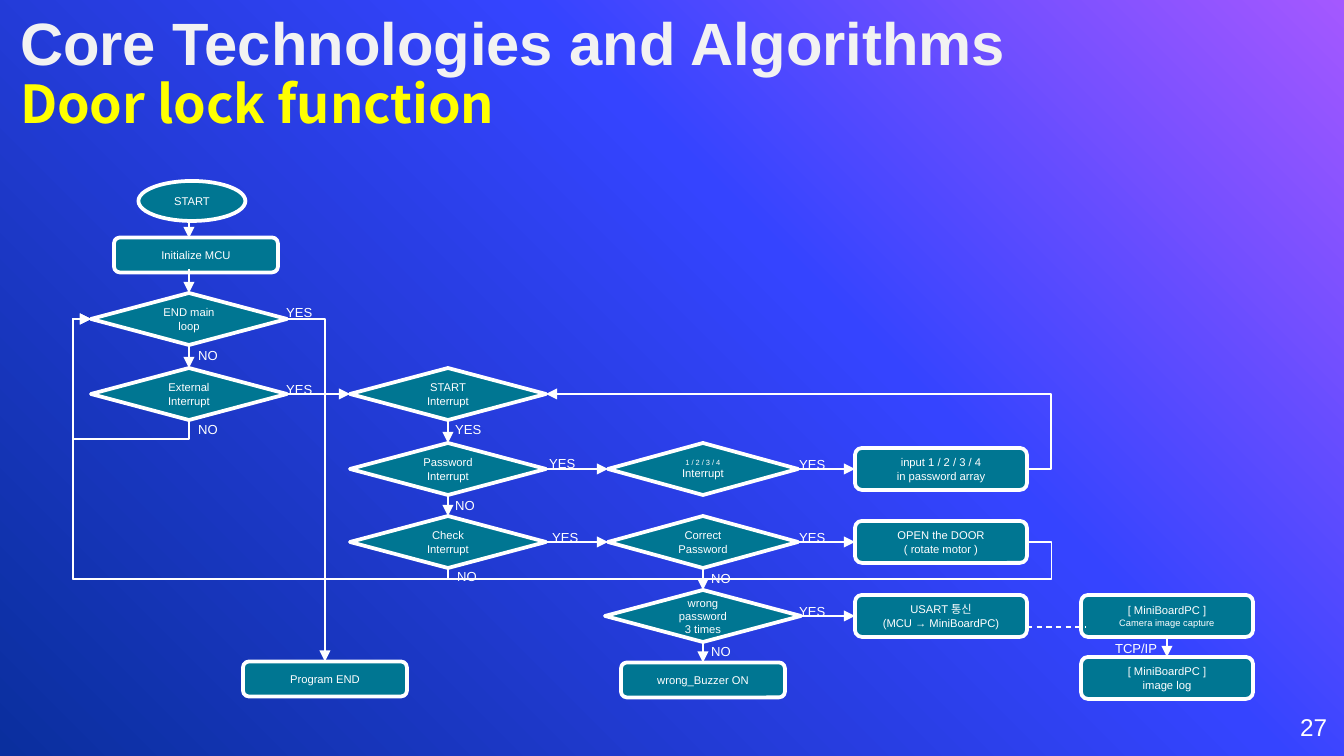
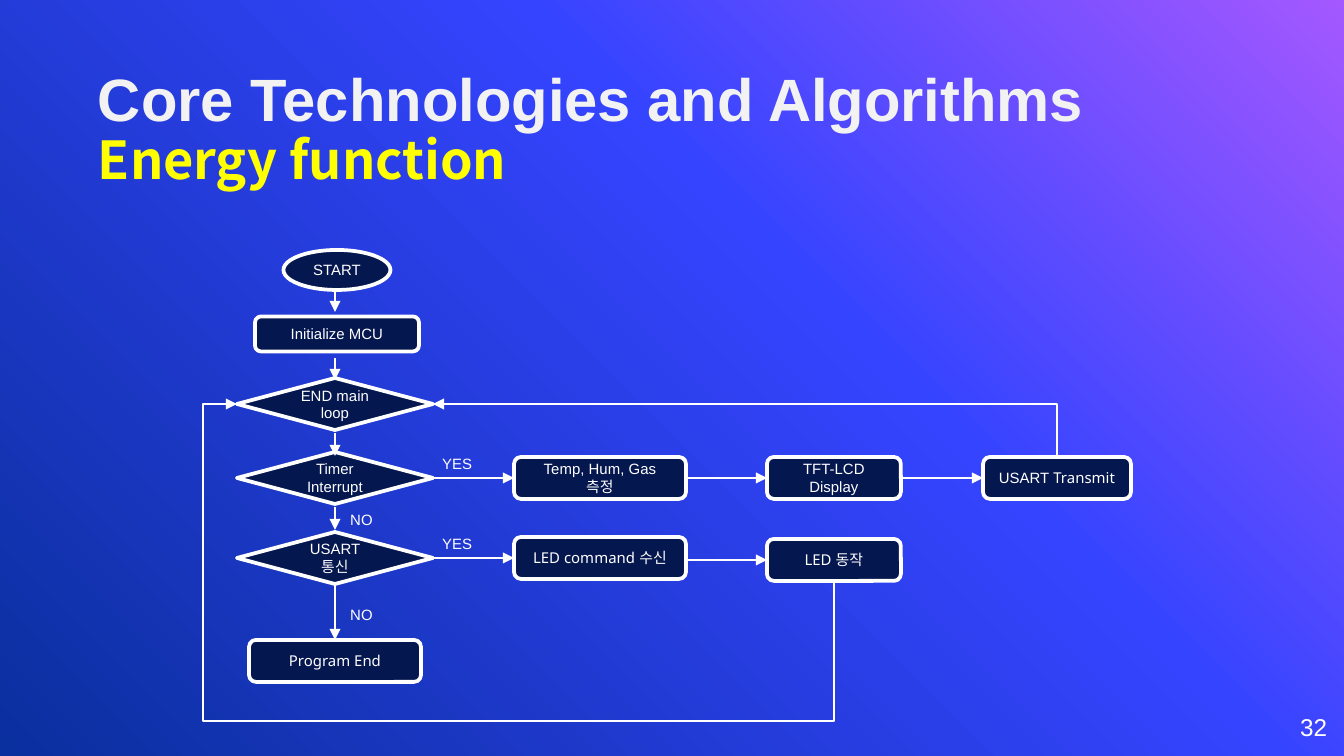
from copy import deepcopy

from lxml import etree
from pptx import Presentation
from pptx.dml.color import RGBColor
from pptx.enum.dml import MSO_LINE
from pptx.enum.shapes import MSO_CONNECTOR, MSO_SHAPE
from pptx.enum.text import MSO_ANCHOR, MSO_AUTO_SIZE, PP_ALIGN
from pptx.oxml.ns import qn
from pptx.util import Emu, Pt

# Shared look
WHITE = RGBColor(0xFF, 0xFF, 0xFF)
TITLE_WHITE = RGBColor(0xF2, 0xF2, 0xF2)
YELLOW = RGBColor(0xFF, 0xFF, 0x00)
TEAL = RGBColor(0x00, 0x76, 0x92)
NAVY = RGBColor(0x05, 0x17, 0x4F)
GRADIENT = [
    (0, RGBColor(0xA4, 0x58, 0xFF)),
    (0.39, RGBColor(0x35, 0x44, 0xFF)),
    (1, RGBColor(0x0A, 0x2F, 0x9E)),
]
SANS, NOTO, KOREAN = "Arial", "Noto Sans", "Noto Sans CJK KR"
LEFT_ALIGN, CENTER, RIGHT_ALIGN = PP_ALIGN.LEFT, PP_ALIGN.CENTER, PP_ALIGN.RIGHT
MIDDLE, BOTTOM_ANCHOR = MSO_ANCHOR.MIDDLE, MSO_ANCHOR.BOTTOM
STRAIGHT, ELBOW = MSO_CONNECTOR.STRAIGHT, MSO_CONNECTOR.ELBOW
OVAL = MSO_SHAPE.FLOWCHART_CONNECTOR
DIAMOND = MSO_SHAPE.FLOWCHART_DECISION
PROCESS = MSO_SHAPE.FLOWCHART_ALTERNATE_PROCESS
DASH = MSO_LINE.DASH
TOP, LEFT, BOTTOM, RIGHT = range(4)
WIDTH, HEIGHT = 1344, 756

# Node kinds: shape, width, height
KINDS = {
    "start": (OVAL, 107, 40),
    "step": (PROCESS, 164, 35),
    "decision": (DIAMOND, 196, 52),
    "choice": (DIAMOND, 190, 52),
    "action": (PROCESS, 172, 42),
    "device": (PROCESS, 134, 42),
    "sender": (PROCESS, 148, 42),
}

# Nodes: name -> kind, centre x, centre y, text spans
# Arrows: two ends, each a node side or a point
# Elbows: two ends, first axis (0 across, 1 down), coordinates of the turns
DOOR_LOCK = {
    "title": "Door lock function",
    "title_at": (20, 11),
    "title_anchor": MIDDLE,
    "number": "27",
    "fill": TEAL,
    "size": 6,
    "label_size": 7,
    "nodes": {
        "start": ("start", 192, 201, ["START"]),
        "init": ("step", 196, 255, ["Initialize MCU"]),
        "main": ("decision", 189, 319, ["END main loop"]),
        "external": ("decision", 189, 394, ["External Interrupt"]),
        "interrupt": ("decision", 448, 394, ["START Interrupt"]),
        "password": ("decision", 448, 469, ["Password Interrupt"]),
        "check": ("decision", 448, 542, ["Check Interrupt"]),
        "digits": ("choice", 703, 469, [("1 / 2 / 3 / 4\n", {"size": 4}), "Interrupt"]),
        "correct": ("choice", 703, 542, ["Correct Password"]),
        "wrong": ("decision", 703, 616, ["wrong password\n3 times"]),
        "input": ("action", 941, 469, ["input 1 / 2 / 3 / 4\nin password array"]),
        "open": ("action", 941, 542, ["OPEN the DOOR\n( rotate motor )"]),
        "usart": ("action", 941, 616, ["USART 통신\n(MCU → MiniBoardPC)"]),
        "buzzer": ("step", 703, 680, ["wrong_Buzzer ON"]),
        "end": ("step", 325, 679, ["Program END"]),
        "camera": ("action", 1167, 616,
                   ["[ MiniBoardPC ]\n", ("Camera image capture", {"size": 5})]),
        "log": ("action", 1167, 678, ["[ MiniBoardPC ]\nimage log"]),
    },
    "arrows": [
        ((189, 222), (189, 238)),
        ((189, 269), ("main", TOP)),
        (("main", BOTTOM), ("external", TOP)),
        (("external", RIGHT), ("interrupt", LEFT)),
        (("interrupt", BOTTOM), ("password", TOP)),
        (("password", BOTTOM), ("check", TOP)),
        (("password", RIGHT), ("digits", LEFT)),
        (("digits", RIGHT), ("input", LEFT)),
        (("check", RIGHT), ("correct", LEFT)),
        (("correct", RIGHT), ("open", LEFT)),
        (("correct", BOTTOM), ("wrong", TOP)),
        (("wrong", RIGHT), ("usart", LEFT)),
        (("wrong", BOTTOM), ("buzzer", TOP)),
        (("camera", BOTTOM), ("log", TOP)),
    ],
    "dashes": [((1027, 627), (1085, 627))],
    "elbows": [
        (("external", BOTTOM), ("main", LEFT), 1, [439, 73]),
        (("main", RIGHT), ("end", TOP), 0, []),
        (("input", RIGHT), ("interrupt", RIGHT), 0, [1051]),
        (("check", BOTTOM), ("main", LEFT), 1, [579, 73]),
        (("open", RIGHT), ("main", LEFT), 0, [1051, 579, 73]),
    ],
    # Labels: text, width, height, top left corners
    "labels": [
        ("YES", 54, 30, [(273, 298), (273, 375), (442, 415), (536, 449),
                         (539, 523), (786, 450), (786, 523), (786, 597)]),
        ("NO", 54, 30, [(185, 341), (185, 415), (442, 491), (444, 562),
                        (698, 564), (698, 637)]),
        ("TCP/IP", 73, 30, [(1102, 634)]),
    ],
}

ENERGY = {
    "title": "Energy function",
    "title_at": (98, 65),
    "title_anchor": BOTTOM_ANCHOR,
    "number": "32",
    "fill": NAVY,
    "size": 8,
    "label_size": 8,
    "nodes": {
        "start": ("start", 337, 270, ["START"]),
        "init": ("step", 337, 334, ["Initialize MCU"]),
        "main": ("decision", 335, 404, ["END main loop"]),
        "timer": ("decision", 335, 478, ["Timer\nInterrupt"]),
        "usart": ("decision", 335, 558, ["USART 통신"]),
        "measure": ("action", 600, 478, ["Temp, Hum, Gas 측정"]),
        "display": ("device", 834, 478, ["TFT-LCD Display"]),
        "transmit": ("sender", 1057, 478, ["USART ", ("Transmit", {"font": NOTO})]),
        "command": ("action", 600, 558, [("LED command 수신", {"font": NOTO})]),
        "led": ("device", 834, 560, [("LED 동작", {"font": NOTO})]),
        "end": ("action", 335, 661, [("Program End", {"font": NOTO})]),
    },
    "arrows": [
        ((335, 289), (335, 312)),
        ((335, 358), (335, 380)),
        ((335, 433), (335, 456)),
        ((335, 507), (335, 530)),
        (("usart", BOTTOM), ("end", TOP)),
        (("timer", RIGHT), ("measure", LEFT)),
        (("measure", RIGHT), ("display", LEFT)),
        (("display", RIGHT), ("transmit", LEFT)),
        (("usart", RIGHT), ("command", LEFT)),
        ((687, 560), ("led", LEFT)),
    ],
    "dashes": [],
    "elbows": [
        (("transmit", TOP), ("main", RIGHT), 1, []),
        (("led", BOTTOM), ("main", LEFT), 1, [721, 203]),
    ],
    "labels": [
        ("YES", 67, 32, [(429, 448), (429, 528)]),
        ("NO", 54, 32, [(337, 504), (337, 599)]),
    ],
}


def px(length):
    return Emu(round(length * 914400 / 134.4))


def write(frame, spans, align=LEFT_ALIGN, anchor=None, inset=None, spacing=None, **style):
    """Write spans, each a string or (string, overrides); newlines become breaks."""
    frame.word_wrap = True
    if anchor is not None:
        frame.vertical_anchor = anchor
    if inset is not None:
        frame.margin_left = frame.margin_right = px(inset)
        frame.margin_top = frame.margin_bottom = px(inset)
    para = frame.paragraphs[0]
    para.alignment = align
    if spacing:
        para.line_spacing = spacing
    for item in spans:
        text, changes = (item, {}) if isinstance(item, str) else item
        look = {"font": SANS, "color": WHITE, "bold": False, **style, **changes}
        for index, line in enumerate(text.split("\n")):
            if index:
                para.add_line_break()
                # A break takes the size of the text before it
                para._p[-1].append(deepcopy(span._r.get_or_add_rPr()))
            if line:
                span = para.add_run()
                span.text = line
                span.font.name = look["font"]
                span.font.size = Pt(look["size"])
                span.font.bold = look["bold"]
                span.font.color.rgb = look["color"]


def add_text(page, text, left, top, width, height, **style):
    box = page.shapes.add_textbox(px(left), px(top), px(width), px(height))
    write(box.text_frame, [text], **style)


def add_node(page, kind, center_x, center_y, spans, fill, size):
    shape, width, height = KINDS[kind]
    node = page.shapes.add_shape(shape, px(center_x - width / 2), px(center_y - height / 2),
                                 px(width), px(height))
    node.shadow.inherit = False
    node.fill.solid()
    node.fill.fore_color.rgb = fill
    node.line.color.rgb = WHITE
    node.line.width = Pt(2)
    write(node.text_frame, spans, align=CENTER, anchor=MIDDLE, size=size)
    return node


def add_line(page, nodes, start, end, kind=STRAIGHT, arrow=True):
    points = [(0, 0) if isinstance(stop[0], str) else stop for stop in (start, end)]
    line = page.shapes.add_connector(kind, *[px(value) for point in points for value in point])
    for stop, connect in ((start, line.begin_connect), (end, line.end_connect)):
        if isinstance(stop[0], str):
            connect(nodes[stop[0]], stop[1])
    line.line.color.rgb = WHITE
    line.line.width = Pt(0.75)
    outline = line._element.spPr.find(qn("a:ln"))
    if arrow:
        etree.SubElement(outline, qn("a:tailEnd"), type="triangle")
    else:
        line.line.dash_style = DASH
    etree.SubElement(line._element.spPr, qn("a:effectLst"))
    return line


def add_elbow(page, nodes, start, end, axis, turns):
    line = add_line(page, nodes, start, end, kind=ELBOW)
    begin, finish = (line.begin_x, line.begin_y), (line.end_x, line.end_y)
    delta = [finish[0] - begin[0], finish[1] - begin[1]]
    middle = [(begin[0] + finish[0]) // 2, (begin[1] + finish[1]) // 2]
    # A route that starts downwards is the sideways one turned by 90 degrees
    along, across = (delta[1], -delta[0]) if axis else delta
    line.width, line.height = Emu(abs(along)), Emu(abs(across))
    line.left = Emu(middle[0] - abs(along) // 2)
    line.top = Emu(middle[1] - abs(across) // 2)
    frame = line._element.spPr.find(qn("a:xfrm"))
    frame.set("rot", str(axis * 90 * 60000))
    frame.set("flipH", str(int(along < 0)))
    frame.set("flipV", str(int(across < 0)))
    geometry = line._element.spPr.find(qn("a:prstGeom"))
    geometry.set("prst", f"bentConnector{len(turns) + 2}")
    guides = geometry.find(qn("a:avLst"))
    for index, turn in enumerate(turns):
        side = (axis + index) % 2
        share = round((px(turn) - begin[side]) / delta[side] * 100000)
        etree.SubElement(guides, qn("a:gd"), name=f"adj{index + 1}", fmla=f"val {share}")


def paint_background(master):
    fill = master.background.fill
    fill.gradient()
    fill.gradient_angle = 225
    stops = master._element.find(".//" + qn("a:gsLst"))
    stops.append(deepcopy(stops[0]))
    for stop, (position, color) in zip(fill.gradient_stops, GRADIENT):
        stop.position = position
        stop.color.rgb = color


def build_page(deck, content):
    page = deck.slides.add_slide(deck.slide_layouts[5])
    # Title and page number
    title = page.shapes.title
    left, top = content["title_at"]
    title.left, title.top, title.width, title.height = map(px, (left, top, 1034, 126))
    title.text_frame.auto_size = MSO_AUTO_SIZE.NONE
    heading = [("Core Technologies and Algorithms\n", {"size": 32, "color": TITLE_WHITE}),
               (content["title"], {"size": 28, "color": YELLOW, "font": KOREAN})]
    write(title.text_frame, heading, anchor=content["title_anchor"], inset=0,
          spacing=0.9, bold=True)
    add_text(page, content["number"], 1246, 698, 81, 58, align=RIGHT_ALIGN,
             anchor=MIDDLE, inset=0, size=13)
    # Flowchart
    nodes = {name: add_node(page, *node, content["fill"], content["size"])
             for name, node in content["nodes"].items()}
    for start, end in content["arrows"]:
        add_line(page, nodes, start, end)
    for start, end in content["dashes"]:
        add_line(page, nodes, start, end, arrow=False)
    for elbow in content["elbows"]:
        add_elbow(page, nodes, *elbow)
    for text, width, height, corners in content["labels"]:
        for corner in corners:
            add_text(page, text, *corner, width, height, size=content["label_size"])


def main():
    deck = Presentation()
    deck.slide_width, deck.slide_height = px(WIDTH), px(HEIGHT)
    paint_background(deck.slide_master)
    for content in (DOOR_LOCK, ENERGY):
        build_page(deck, content)
    deck.save("out.pptx")


if __name__ == "__main__":
    main()
